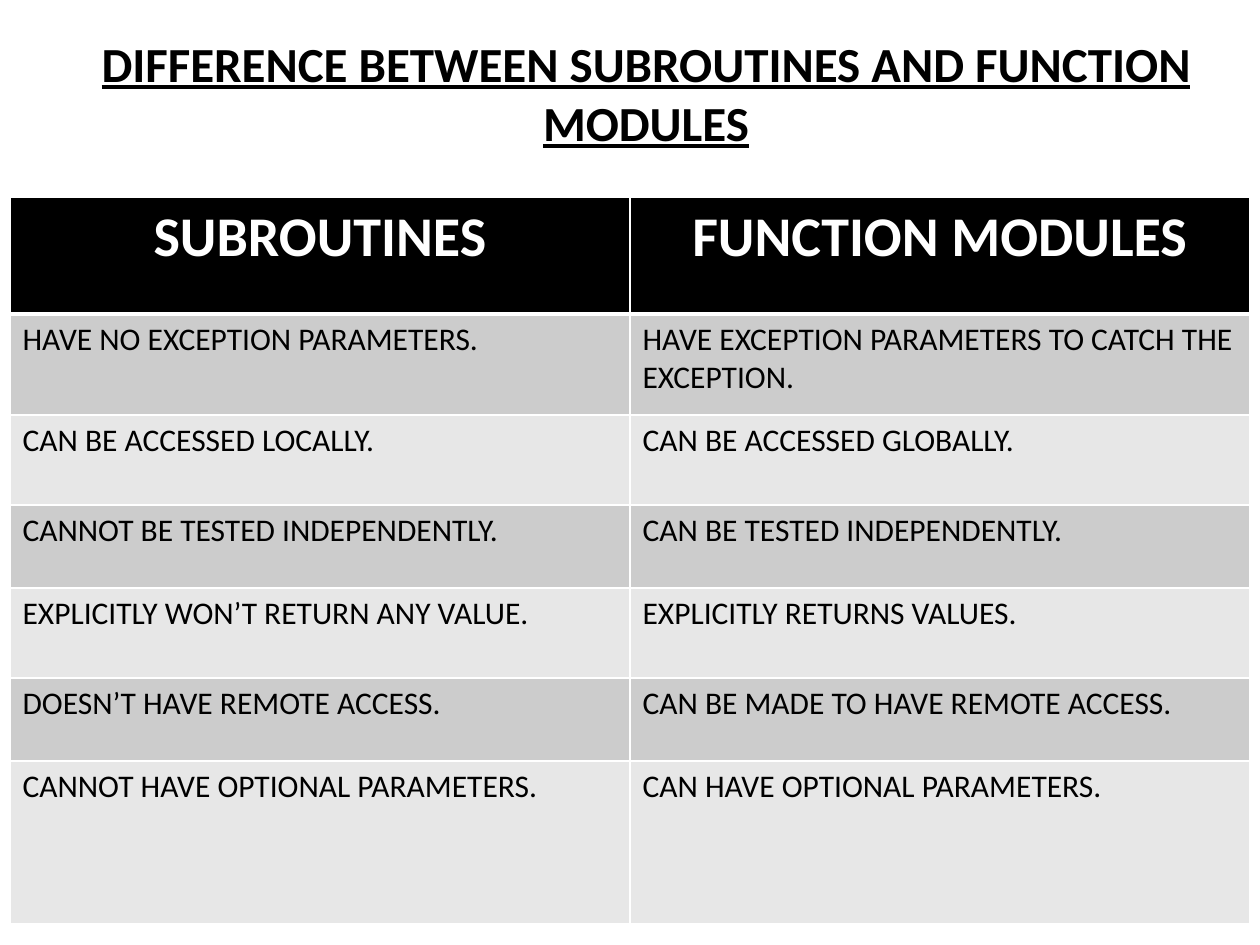
from lxml import etree
from pptx import Presentation
from pptx import util as u
from pptx.dml.color import RGBColor
from pptx.enum import text
from pptx.oxml import ns

# Content
TITLE = "DIFFERENCE BETWEEN SUBROUTINES AND FUNCTION MODULES"
ROWS = [
    ("SUBROUTINES", "FUNCTION MODULES"),
    ("HAVE NO EXCEPTION PARAMETERS.",
     "HAVE EXCEPTION PARAMETERS TO CATCH THE EXCEPTION."),
    ("CAN BE ACCESSED LOCALLY.", "CAN BE ACCESSED GLOBALLY."),
    ("CANNOT BE TESTED INDEPENDENTLY.", "CAN BE TESTED INDEPENDENTLY."),
    ("EXPLICITLY WON’T RETURN ANY VALUE.", "EXPLICITLY RETURNS VALUES."),
    ("DOESN’T HAVE REMOTE ACCESS.", "CAN BE MADE TO HAVE REMOTE ACCESS."),
    ("CANNOT HAVE OPTIONAL PARAMETERS.", "CAN HAVE OPTIONAL PARAMETERS."),
]

# Layout in px
SCALE = u.Inches(1) // 126
SLIDE_SIZE = (1260, 945)
TITLE_BOX = (63, 48, 1166, 88)
TABLE_LEFT, TABLE_TOP = 10, 197
COLUMN_WIDTH = 620
ROW_HEIGHTS = [117, 101, 90, 83, 90, 83, 163]

THEME = {
    "font": "Calibri",
    "title_size": 28, "header_size": 32, "body_size": 18,
    "text": "000000", "header_text": "FFFFFF",
    "header_fill": "000000", "bands": ("CCCCCC", "E7E7E7"),
    "border": "FFFFFF", "border_width": 1, "header_rule": 3,
}


def px(value):
    return u.Emu(value * SCALE)


def style(paragraph, size, color, bold, align):
    font = paragraph.font
    font.name, font.size, font.bold = THEME["font"], u.Pt(size), bold
    font.color.rgb = RGBColor.from_string(color)
    paragraph.alignment = align


def set_borders(cell, widths):
    """Add the cell's edge lines, which must come before its fill."""
    properties = cell._tc.get_or_add_tcPr()
    for index, (edge, width) in enumerate(widths.items()):
        line = etree.Element(ns.qn(f"a:ln{edge}"), w=str(u.Pt(width)))
        fill = etree.SubElement(line, ns.qn("a:solidFill"))
        etree.SubElement(fill, ns.qn("a:srgbClr"), val=THEME["border"])
        properties.insert(index, line)


def add_title(slide):
    title = slide.shapes.title
    title.left, title.top, title.width, title.height = map(px, TITLE_BOX)
    frame = title.text_frame
    frame.text = TITLE
    frame.word_wrap = True
    frame.auto_size = text.MSO_AUTO_SIZE.NONE
    frame.vertical_anchor = text.MSO_ANCHOR.MIDDLE
    paragraph = frame.paragraphs[0]
    style(paragraph, THEME["title_size"], THEME["text"], True, text.PP_ALIGN.CENTER)
    paragraph.font.underline = True


def add_comparison(slide):
    column_count = len(ROWS[0])
    table = slide.shapes.add_table(
        len(ROWS), column_count, px(TABLE_LEFT), px(TABLE_TOP),
        px(COLUMN_WIDTH * column_count), px(sum(ROW_HEIGHTS))).table
    for column in table.columns:
        column.width = px(COLUMN_WIDTH)
    for index, (row, height) in enumerate(zip(ROWS, ROW_HEIGHTS)):
        table.rows[index].height = px(height)
        header = index == 0
        fill = THEME["header_fill"] if header else THEME["bands"][(index - 1) % 2]
        borders = dict.fromkeys("LRTB", THEME["border_width"])
        if header:
            borders["B"] = THEME["header_rule"]
        elif index == 1:
            borders["T"] = THEME["header_rule"]
        for cell, words in zip(table.rows[index].cells, row):
            cell.text = words
            cell.fill.solid()
            cell.fill.fore_color.rgb = RGBColor.from_string(fill)
            set_borders(cell, borders)
            paragraph = cell.text_frame.paragraphs[0]
            if header:
                style(paragraph, THEME["header_size"], THEME["header_text"],
                      True, text.PP_ALIGN.CENTER)
            else:
                style(paragraph, THEME["body_size"], THEME["text"],
                      False, text.PP_ALIGN.LEFT)


def main():
    presentation = Presentation()
    presentation.slide_width, presentation.slide_height = map(px, SLIDE_SIZE)
    slide = presentation.slides.add_slide(presentation.slide_layouts[5])
    add_title(slide)
    add_comparison(slide)
    presentation.save("out.pptx")


if __name__ == "__main__":
    main()
